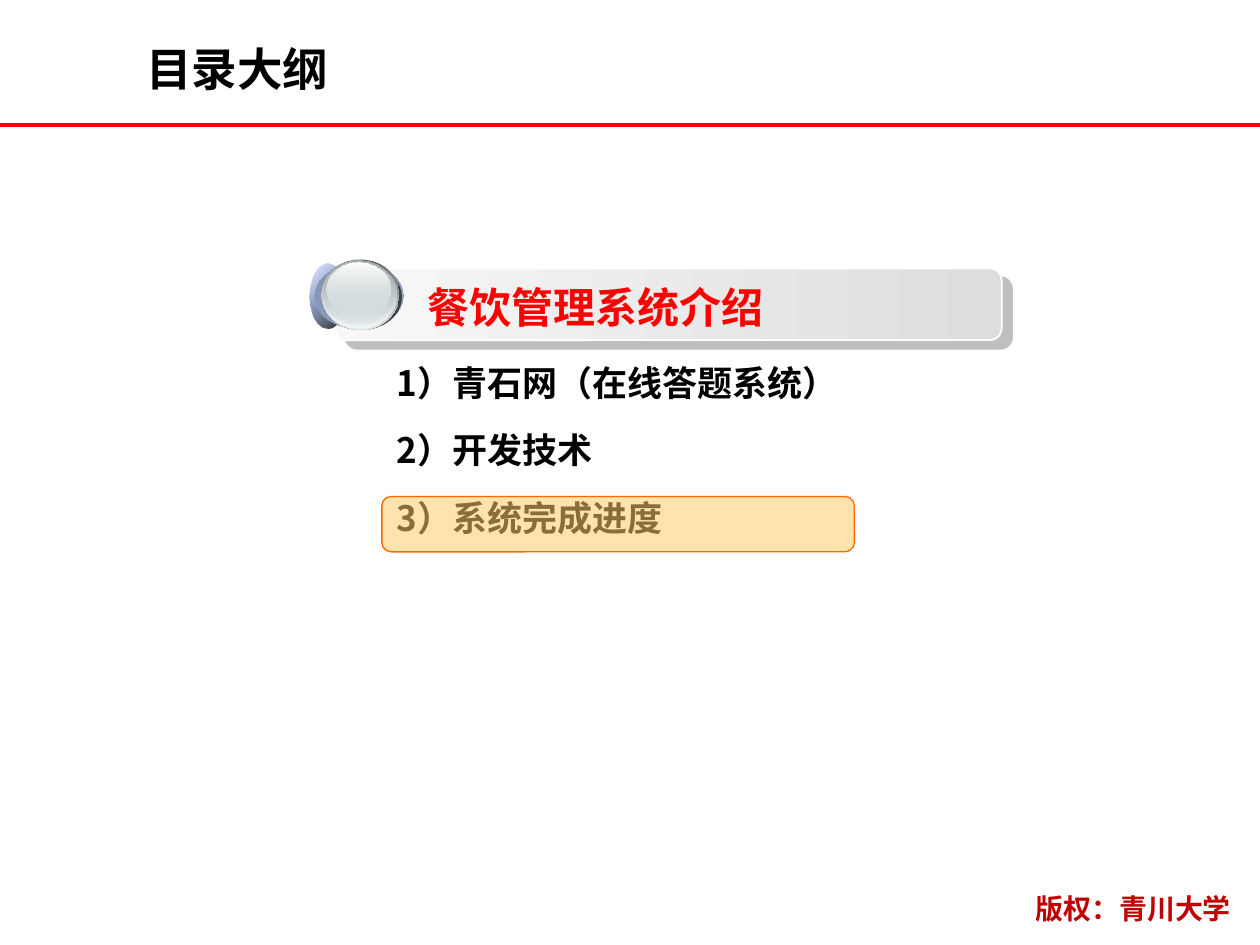
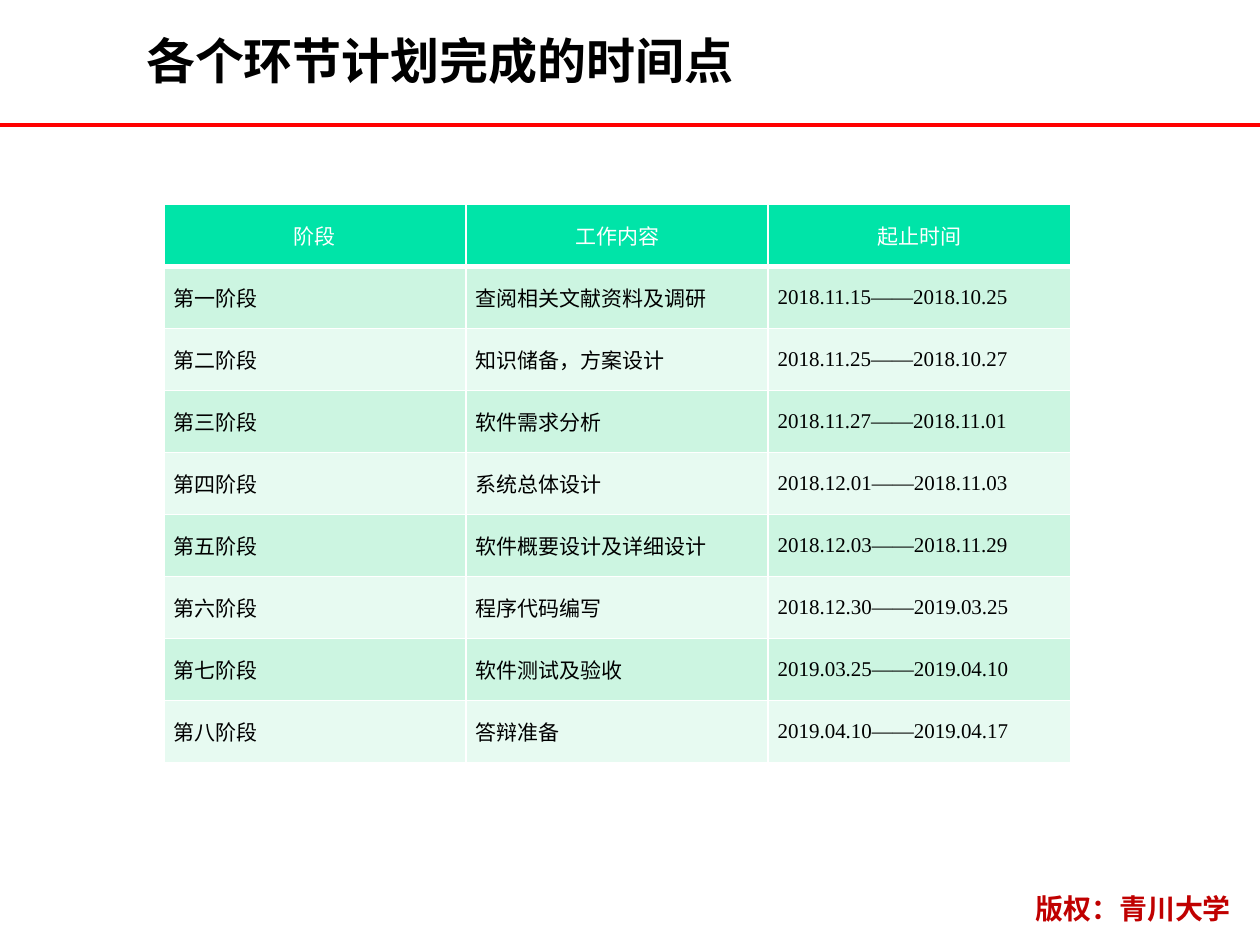
from lxml.etree import SubElement
from pptx import Presentation
from pptx.dml.color import RGBColor
from pptx.enum.shapes import MSO_CONNECTOR, MSO_SHAPE
from pptx.enum.text import MSO_ANCHOR, MSO_AUTO_SIZE, PP_ALIGN
from pptx.oxml import parse_xml
from pptx.oxml.ns import nsdecls, qn
from pptx.util import Pt

SANS = "Noto Sans CJK SC"
SERIF = "Times New Roman"
COLORS = {
    "black": "000000", "white": "FFFFFF", "red": "FF0000", "footer": "C00000",
    "header": "00E4A8", "odd": "CCF5E1", "even": "E7FAF1",
    "mark": "FFCC66", "mark_edge": "FF6600", "shadow": "808080",
    "bar_light": "F8F8F8", "bar_dark": "DDDDDD", "blue": "B9D0FF",
    "slate": "64718A", "steel": "7684A2", "charcoal": "3F3F3F",
    "gray": "636869", "mist": "D6E1E2", "pale": "F1F5F5", "silver": "AAB2B3",
}

FOOTER = "版权：青川大学"
OUTLINE_TITLE = "目录大纲"
OUTLINE_HEADING = "餐饮管理系统介绍"
OUTLINE_ITEMS = ["1）青石网（在线答题系统）", "2）开发技术", "3）系统完成进度"]
PLAN_TITLE = "各个环节计划完成的时间点"
PLAN_HEADER = ("阶段", "工作内容", "起止时间")
PLAN_ROWS = [
    ("第一阶段", "查阅相关文献资料及调研", "2018.11.15——2018.10.25"),
    ("第二阶段", "知识储备，方案设计", "2018.11.25——2018.10.27"),
    ("第三阶段", "软件需求分析", "2018.11.27——2018.11.01"),
    ("第四阶段", "系统总体设计", "2018.12.01——2018.11.03"),
    ("第五阶段", "软件概要设计及详细设计", "2018.12.03——2018.11.29"),
    ("第六阶段", "程序代码编写", "2018.12.30——2019.03.25"),
    ("第七阶段", "软件测试及验收", "2019.03.25——2019.04.10"),
    ("第八阶段", "答辩准备", "2019.04.10——2019.04.17"),
]
BALL_LAYERS = [
    ((177.1, 150.5, 20.2, 37.4), 45, [(0, "white"), (50, "blue"), (100, "white")]),
    ((177.1, 150.5, 20.2, 37.4), 45, [(0, "blue", 32), (100, "black", 90)]),
    ((180, 150.5, 50.4, 37.4), 315, [(0, "slate"), (50, "blue"), (100, "slate")]),
    ((180, 150.5, 50.4, 37.4), 45, [(0, "steel"), (100, "blue", 0)]),
    ((183.6, 151.2, 46.1, 37.4), 0, [(0, "charcoal"), (100, "charcoal")]),
    ((183.6, 148.3, 44.6, 40.3), 90, [(0, "gray"), (100, "mist")]),
    ((183.6, 148.3, 43.2, 39.6), 90, [(0, "mist", 0), (100, "pale")]),
    ((184.3, 149, 41, 36.7), 90, [(0, "silver"), (100, "mist", 48)]),
    ((186.5, 149.8, 36.7, 30.2), 90, [(0, "white"), (100, "mist", 38)]),
]


def rgb(name):
    return RGBColor.from_string(COLORS[name])


def color_xml(name, alpha=100):
    return f'<a:srgbClr val="{COLORS[name]}"><a:alpha val="{alpha * 1000}"/></a:srgbClr>'


def shadow_xml(distance, angle):
    return parse_xml(
        f'<a:effectLst {nsdecls("a")}><a:outerShdw dist="{int(Pt(distance))}" '
        f'dir="{angle * 60000}">{color_xml("shadow", 50)}</a:outerShdw></a:effectLst>')


def style(para, size, color, bold=True, font=SANS, east=SANS):
    for span in para.runs:
        span.font.size = Pt(size)
        span.font.bold = bold
        span.font.color.rgb = rgb(color)
        span.font.name = font
        latin = span.font._element.find(qn("a:latin"))
        latin.addnext(parse_xml(f'<a:ea {nsdecls("a")} typeface="{east}"/>'))


def space(para, lines):
    para.line_spacing = lines
    before = SubElement(para._p.pPr, qn("a:spcBef"))
    SubElement(before, qn("a:spcPct"), val="50000")


def add_text(page, place, lines, size, color):
    box = page.shapes.add_textbox(*map(Pt, place))
    frame = box.text_frame
    frame.word_wrap = True
    frame.text = "\n".join(lines)
    for para in frame.paragraphs:
        style(para, size, color)
    return box


def add_plain(page, kind, place):
    shape = page.shapes.add_shape(kind, *map(Pt, place))
    shape.shadow.inherit = False
    shape.line.fill.background()
    return shape


def fill_gradient(shape, angle, stops):
    marks = "".join(f'<a:gs pos="{stop[0] * 1000}">{color_xml(*stop[1:])}</a:gs>'
                    for stop in stops)
    shape.fill.background()
    empty = shape.element.spPr.find(qn("a:noFill"))
    empty.getparent().replace(empty, parse_xml(
        f'<a:gradFill {nsdecls("a")} rotWithShape="1"><a:gsLst>{marks}</a:gsLst>'
        f'<a:lin ang="{angle * 60000}" scaled="0"/></a:gradFill>'))


def add_page(deck, layout, title, place, size):
    page = deck.slides.add_slide(layout)
    box = page.shapes.title
    box.left, box.top, box.width, box.height = map(Pt, place)
    frame = box.text_frame
    frame.text = title
    frame.auto_size = MSO_AUTO_SIZE.NONE
    frame.vertical_anchor = MSO_ANCHOR.MIDDLE
    frame.paragraphs[0].alignment = PP_ALIGN.LEFT
    style(frame.paragraphs[0], size, "black")
    return page


def add_shared_parts(page, layout):
    rule = page.shapes.add_connector(MSO_CONNECTOR.STRAIGHT, 0, Pt(71.3), Pt(720), Pt(71.3))
    rule.line.color.rgb = rgb("red")
    rule.line.width = Pt(2)
    SubElement(rule.element.spPr, qn("a:effectLst"))
    footer = add_text(page, (468, 509.8, 359.3, 23), [FOOTER], 16, "footer")
    footer.text_frame.auto_size = MSO_AUTO_SIZE.SHAPE_TO_FIT_TEXT
    para = footer.text_frame.paragraphs[0]
    para.alignment = PP_ALIGN.CENTER
    space(para, 0.8)
    for part in (rule, footer):
        layout.shapes.element.append(part.element)


def add_outline(page):
    bar = add_plain(page, MSO_SHAPE.ROUNDED_RECTANGLE, (191.5, 153.4, 380.9, 41))
    fill_gradient(bar, 0, [(0, "bar_light"), (100, "bar_dark")])
    bar.line.color.rgb = rgb("white")
    bar.line.width = Pt(1)
    effects = bar.element.spPr.find(qn("a:effectLst"))
    effects.getparent().replace(effects, shadow_xml(7.8, 40))

    for place, angle, stops in BALL_LAYERS:
        fill_gradient(add_plain(page, MSO_SHAPE.OVAL, place), angle, stops)

    heading = add_text(page, (244.3, 154.1, 288, 42.5), [OUTLINE_HEADING], 24, "red")
    frame = heading.text_frame
    frame.margin_left = frame.margin_top = frame.margin_right = frame.margin_bottom = 0
    frame.vertical_anchor = MSO_ANCHOR.MIDDLE
    span = frame.paragraphs[0].runs[0]
    span.font._element.find(qn("a:solidFill")).addnext(shadow_xml(2, 45))

    items = add_text(page, (219.6, 198, 343.4, 124.6), OUTLINE_ITEMS, 20, "black")
    items.text_frame.margin_bottom = 0
    for para in items.text_frame.paragraphs:
        space(para, 1.2)

    mark = add_plain(page, MSO_SHAPE.ROUNDED_RECTANGLE, (218.2, 283.7, 270, 31.7))
    mark.fill.solid()
    mark.fill.fore_color.rgb = rgb("mark")
    tint = mark.element.spPr.find(qn("a:solidFill"))[0]
    SubElement(tint, qn("a:alpha"), val="54000")
    mark.line.color.rgb = rgb("mark_edge")
    mark.line.width = Pt(0.75)


def set_borders(cell, top, bottom):
    widths = {"lnL": 1, "lnR": 1, "lnT": top, "lnB": bottom}
    for index, (side, width) in enumerate(widths.items()):
        cell._tc.get_or_add_tcPr().insert(index, parse_xml(
            f'<a:{side} {nsdecls("a")} w="{int(Pt(width))}">'
            f'<a:solidFill>{color_xml("white")}</a:solidFill></a:{side}>'))


def add_plan(page):
    rows = [PLAN_HEADER] + PLAN_ROWS
    frame = page.shapes.add_table(len(rows), len(PLAN_HEADER),
                                  *map(Pt, (93.6, 116.8, 518.1, 319)))
    table = frame.table
    for column in table.columns:
        column.width = Pt(172.7)
    for r, texts in enumerate(rows):
        table.rows[r].height = Pt(35.44)
        for c, text in enumerate(texts):
            cell = table.cell(r, c)
            cell.text = text
            cell.vertical_anchor = MSO_ANCHOR.MIDDLE
            cell.margin_top = cell.margin_bottom = 0
            cell.margin_left = cell.margin_right = Pt(5.4 if r else 0)
            cell.fill.solid()
            cell.fill.fore_color.rgb = rgb(("odd" if r % 2 else "even") if r else "header")
            set_borders(cell, 3 if r == 1 else 1, 1 if r else 3)
            para = cell.text_frame.paragraphs[0]
            para.alignment = PP_ALIGN.JUSTIFY if r else PP_ALIGN.CENTER
            if r:
                style(para, 12, "black", False, SERIF, SERIF if c == 2 else SANS)
            else:
                style(para, 12, "white", False)


deck = Presentation()
deck.slide_width, deck.slide_height = Pt(720), Pt(540)
title_only = deck.slide_layouts[5]

outline = add_page(deck, title_only, OUTLINE_TITLE, (76.3, 18, 383.8, 41.8), 26)
add_shared_parts(outline, title_only)
add_outline(outline)

plan = add_page(deck, title_only, PLAN_TITLE, (76.3, 7.9, 487.4, 52.6), 28)
add_plan(plan)

deck.save("out.pptx")
